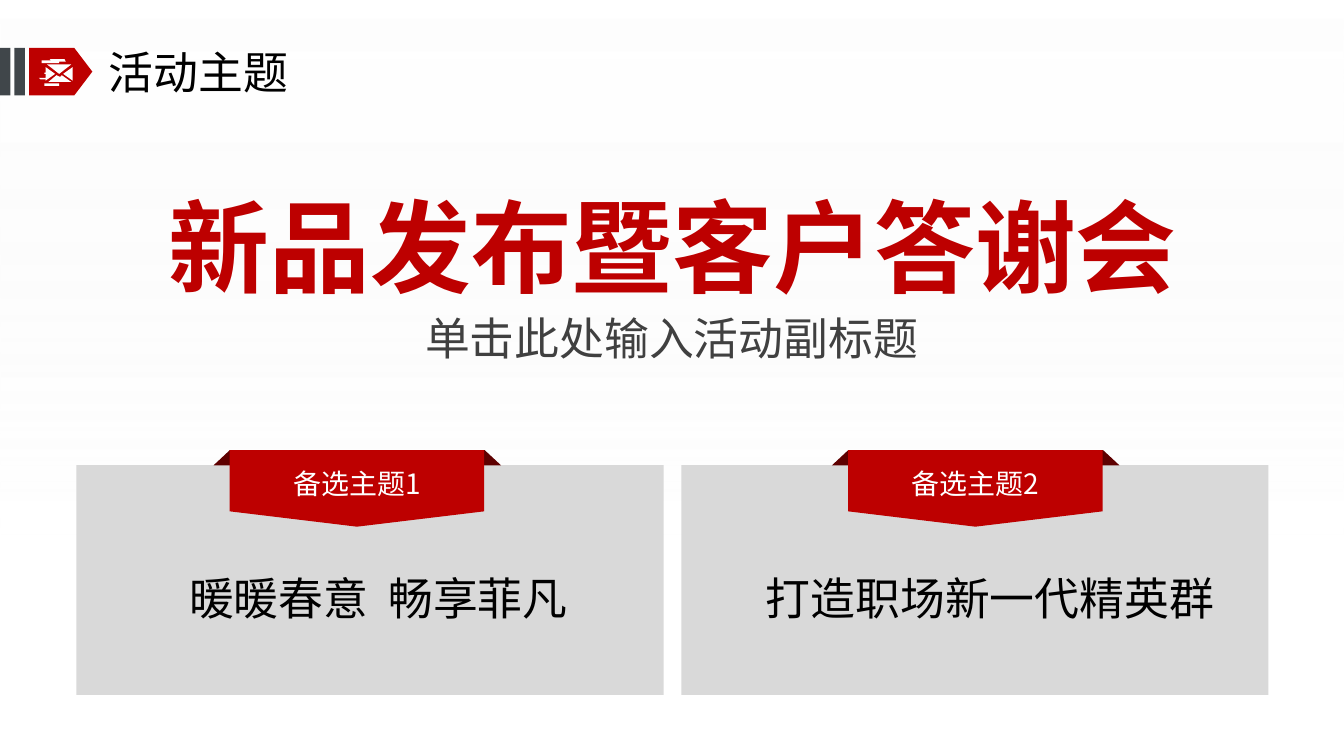
from lxml import etree
from pptx import Presentation
from pptx.dml.color import RGBColor
from pptx.enum.shapes import MSO_SHAPE
from pptx.enum.text import MSO_ANCHOR, PP_ALIGN
from pptx.oxml.ns import qn
from pptx.util import Pt

RECT = MSO_SHAPE.RECTANGLE
ARROW = MSO_SHAPE.PENTAGON
FOLD = MSO_SHAPE.TRAPEZOID
FLAG = MSO_SHAPE.FLOWCHART_OFFPAGE_CONNECTOR
LEFT, CENTER = PP_ALIGN.LEFT, PP_ALIGN.CENTER
MIDDLE = MSO_ANCHOR.MIDDLE

FONT = "Noto Sans CJK SC"
RED = RGBColor(0xBD, 0x00, 0x00)
DARK_RED = RGBColor(0x5E, 0x00, 0x00)
SLATE = RGBColor(0x40, 0x46, 0x4A)
GRAY = RGBColor(0x40, 0x40, 0x40)
PANEL = RGBColor(0xD9, 0xD9, 0xD9)
PALE = RGBColor(0xF2, 0xF2, 0xF2)
BLACK = RGBColor(0, 0, 0)
WHITE = RGBColor(0xFF, 0xFF, 0xFF)

# Outlines of the mail icon, in hundredths of an inch
MAIL = [
    [(36, 48), (53, 48), (44, 55), (35, 48)],
    [(33, 54), (33, 55), (34, 55), (34, 58), (29, 58), (30, 59),
     (34, 59), (34, 60), (41, 55), (34, 50), (34, 54)],
    [(33, 62), (44, 62), (44, 64), (33, 64)],
    [(37, 44), (48, 44), (49, 46), (44, 46), (44, 47), (31, 47),
     (31, 45), (38, 45)],
    [(54, 50), (47, 55), (54, 60)],
    [(53, 61), (36, 61), (42, 56), (44, 57), (45, 57), (46, 56)],
]


def add_shape(slide, kind, box, color, adjust=None):
    shape = slide.shapes.add_shape(kind, *map(Pt, box))
    shape.shadow.inherit = False
    shape.line.fill.background()
    shape.fill.solid()
    shape.fill.fore_color.rgb = color
    if adjust is not None:
        shape.adjustments[0] = adjust
    return shape


def add_text(slide, box, text, size, color, align=CENTER, bold=False):
    frame = slide.shapes.add_textbox(*map(Pt, box)).text_frame
    frame.margin_left = frame.margin_right = 0
    frame.margin_top = frame.margin_bottom = 0
    frame.word_wrap = True
    frame.vertical_anchor = MIDDLE
    para = frame.paragraphs[0]
    para.alignment = align
    run = para.add_run()
    run.text = text
    font = run.font
    font.name, font.size, font.bold = FONT, Pt(size), bold
    font.color.rgb = color
    east = etree.SubElement(run._r.get_or_add_rPr(), qn("a:ea"))
    east.set("typeface", FONT)


def add_wash(slide):
    """Cover the slide with a white tint that fades out downwards."""
    shape = add_shape(slide, RECT, (0, 0, 720, 405), WHITE)
    fill = shape.fill
    fill.gradient()
    fill.gradient_angle = 270
    stops = zip(fill.gradient_stops, (0, 0.71), (WHITE, PALE))
    for stop, place, color in stops:
        stop.position = place
        stop.color.rgb = color
    colors = shape._element.spPr.iter(qn("a:srgbClr"))
    for node, alpha in zip(colors, (55000, 0)):
        etree.SubElement(node, qn("a:alpha")).set("val", str(alpha))


def add_mail(slide):
    start = MAIL[0][0]
    pen = slide.shapes.build_freeform(*start, scale=Pt(0.72))
    for path in MAIL:
        if path[0] != start:
            pen.move_to(*path[0])
        pen.add_line_segments(path[1:], close=True)
    shape = pen.convert_to_shape()
    shape.shadow.inherit = False
    shape.line.fill.background()
    shape.fill.solid()
    shape.fill.fore_color.rgb = WHITE


def add_header(slide, title):
    add_shape(slide, ARROW, (15.6, 25.7, 33.9, 25.4), RED, 0.38)
    for left in (7.7, 0):
        add_shape(slide, RECT, (left, 25.7, 5.6, 25.4), SLATE)
    add_mail(slide)
    add_text(slide, (58.3, 23.8, 297.4, 29.5), title, 24, BLACK, LEFT)


def add_option(slide, left, shift, label, theme, inset):
    """Draw a panel with a ribbon; shift and inset place ribbon and theme."""
    add_shape(slide, RECT, (left, 249.2, 314.6, 123.1), PANEL)
    ribbon = left + shift
    add_shape(slide, FOLD, (ribbon, 241.2, 154, 8.1), DARK_RED, 1.075)
    add_shape(slide, FLAG, (ribbon + 8.7, 241.2, 136.3, 41), RED)
    add_text(slide, (ribbon + 23.5, 249.8, 106.6, 18), label, 15, WHITE)
    add_text(slide, (left + inset, 306, 247, 28.8), theme, 24, BLACK)


def main():
    deck = Presentation()
    deck.slide_width, deck.slide_height = Pt(720), Pt(405)
    slide = deck.slides.add_slide(deck.slide_layouts[6])
    add_wash(slide)
    add_header(slide, "活动主题")
    add_text(slide, (82.8, 98.6, 555.1, 65.5), "新品发布暨客户答谢会",
             54, RED, bold=True)
    add_text(slide, (135.4, 166.3, 448.6, 28.8), "单击此处输入活动副标题",
             24, GRAY)
    add_option(slide, 41, 73.4, "备选主题1", "暖暖春意  畅享菲凡", 38.2)
    add_option(slide, 365, 80.7, "备选主题2", "打造职场新一代精英群", 41.8)
    deck.save("out.pptx")


if __name__ == "__main__":
    main()
